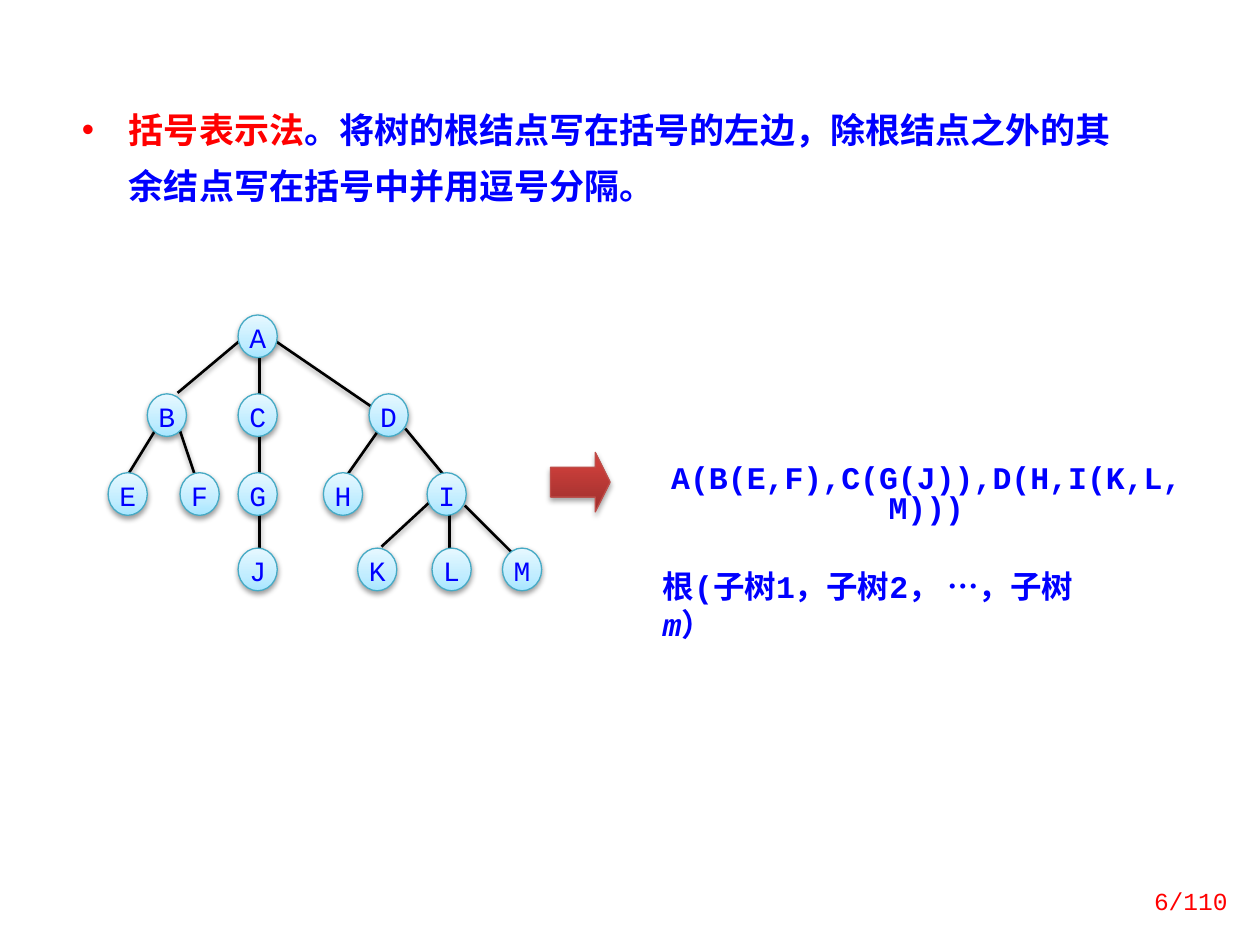
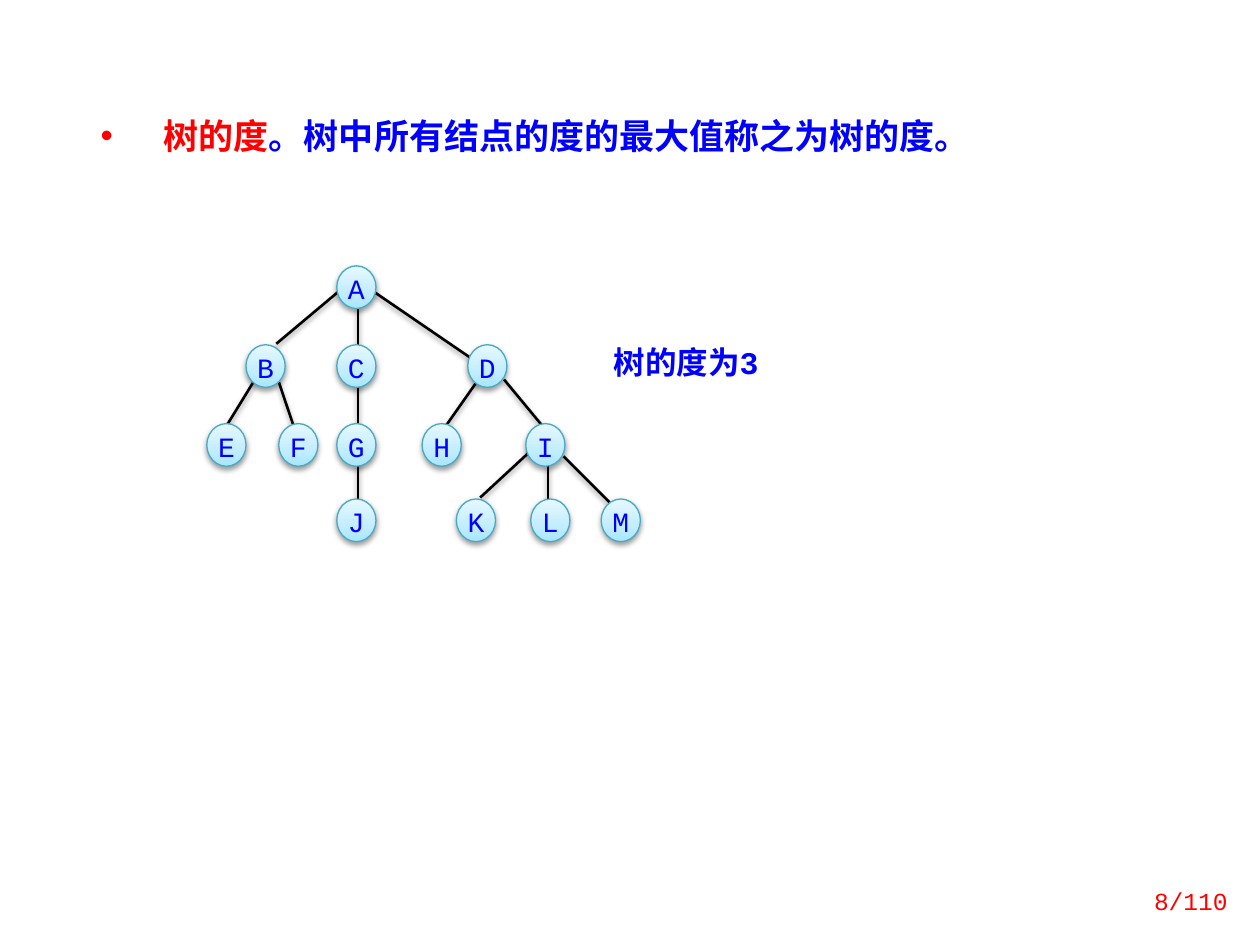
from lxml import etree
from pptx import Presentation
from pptx.dml.color import RGBColor
from pptx.enum.shapes import MSO_CONNECTOR, MSO_SHAPE
from pptx.enum.text import MSO_ANCHOR, MSO_AUTO_SIZE, PP_ALIGN
from pptx.oxml.ns import qn
from pptx.util import Cm, Pt

STRAIGHT = MSO_CONNECTOR.STRAIGHT
ELLIPSE, RIGHT_ARROW = MSO_SHAPE.OVAL, MSO_SHAPE.RIGHT_ARROW
MIDDLE = MSO_ANCHOR.MIDDLE
GROW = MSO_AUTO_SIZE.SHAPE_TO_FIT_TEXT
CENTER, RIGHT = PP_ALIGN.CENTER, PP_ALIGN.RIGHT

RED = RGBColor(0xFF, 0x00, 0x00)
BLUE = RGBColor(0x00, 0x00, 0xFF)
BLACK = RGBColor(0x00, 0x00, 0x00)
NODE_BORDER = RGBColor(0x46, 0xAA, 0xC5)
ARROW_BORDER = RGBColor(0xBF, 0x4C, 0x48)
NODE_GRADIENT = [(0, RGBColor(0xA7, 0xE6, 0xFF)), (35, RGBColor(0xC1, 0xED, 0xFF)),
                 (100, RGBColor(0xE7, 0xF8, 0xFF))]
ARROW_GRADIENT = [(0, RGBColor(0x9C, 0x2F, 0x2D)), (80, RGBColor(0xCB, 0x3E, 0x3A)),
                  (100, RGBColor(0xCE, 0x3B, 0x37))]

CHINESE, MONO, SANS = "Noto Sans CJK SC", "Courier New", "Arial"

# Lengths in centimetres; the tree is measured from its own top left corner.
NODE_WIDTH, NODE_HEIGHT = 0.79, 0.86
LEVELS = [
    (0, {"A": 2.62}),
    (1.59, {"B": 0.79, "C": 2.62, "D": 5.26}),
    (3.18, {"E": 0, "F": 1.45, "G": 2.62, "H": 4.34, "I": 6.43}),
    (4.7, {"J": 2.62, "K": 5.03, "L": 6.53, "M": 7.95}),
]
EDGES = {
    "AB": (2.64, 0.53, 1.4, 1.57),
    "ACGJ": (3.05, 0.79, 3.05, 4.83),
    "AD": (3.38, 0.53, 5.31, 1.85),
    "BE": (0.94, 2.34, 0.38, 3.25),
    "BF": (1.45, 2.34, 1.8, 3.38),
    "DH": (5.51, 2.24, 4.78, 3.28),
    "DI": (5.99, 2.29, 6.81, 3.28),
    "IK": (6.55, 3.71, 5.51, 4.67),
    "IL": (6.88, 4.01, 6.88, 4.83),
    "IM": (7.19, 3.84, 8.13, 4.78),
}

SLIDES = [
    {
        "definition": ("括号表示法", "将树的根结点写在括号的左边，除根结点之外的其余结点写在括号中并用逗号分隔。"),
        "definition_box": (1.4, 1.78, 21.64, 2.36),
        "indent": 0.95,
        "definition_spacing": Pt(32),
        "tree": (2.18, 6.35),
        "arrow": (11.1, 9.12, 1.2, 1.2),
        "notes": [
            {"box": (13.11, 9.25, 11.13, 0.86), "align": CENTER, "spacing": 0.8,
             "runs": [("A(B(E,F),C(G(J)),D(H,I(K,L,M)))", MONO, False)]},
            {"box": (13.11, 11.3, 9.73, 1.02),
             "runs": [("根(子树1，子树2， ", MONO, False), ("…", SANS, False),
                      ("，子树", MONO, False), ("m", MONO, True), ("）", MONO, False)]},
        ],
        "page": "6/110",
    },
    {
        "definition": ("树的度", "树中所有结点的度的最大值称之为树的度。"),
        "definition_box": (1.78, 2.18, 18.26, 1.12),
        "indent": 1.27,
        "tree": (4.17, 5.36),
        "notes": [
            {"box": (12.12, 6.93, 6.15, 0.86), "spacing": 0.8,
             "runs": [("树的度为3", MONO, False)]},
        ],
        "page": "8/110",
    },
]
PAGE_BOX = (22.1, 17.65, 2.9, 1.02)


def lengths(values):
    return [Cm(value) for value in values]


def add_run(paragraph, text, size, font_name, color, bold=False, italic=False):
    run = paragraph.add_run()
    run.text = text
    font = run.font
    font.size, font.name, font.bold, font.italic = Pt(size), font_name, bold, italic
    font.color.rgb = color
    east_asian = etree.Element(qn("a:ea"), typeface=CHINESE)
    run._r.rPr.find(qn("a:latin")).addnext(east_asian)


def add_text_box(slide, box, align=None, spacing=None):
    """Add a wrapping text box and return its frame and first paragraph."""
    frame = slide.shapes.add_textbox(*lengths(box)).text_frame
    frame.word_wrap = True
    paragraph = frame.paragraphs[0]
    paragraph.alignment = align
    paragraph.line_spacing = spacing
    return frame, paragraph


def add_shadow(shape, opacity=38, distance=1.6):
    """Cast a soft shadow downwards; call once fill and line are set."""
    effects = etree.SubElement(shape._element.spPr, qn("a:effectLst"))
    shadow = etree.SubElement(effects, qn("a:outerShdw"), blurRad=str(Pt(3.1)),
                              dist=str(Pt(distance)), dir="5400000", rotWithShape="0")
    color = etree.SubElement(shadow, qn("a:srgbClr"), val=str(BLACK))
    etree.SubElement(color, qn("a:alpha"), val=str(opacity * 1000))


def set_upward_gradient(shape, stops):
    shape.fill.gradient()
    shape.fill.gradient_angle = 90
    stop_list = shape._element.spPr.find(".//" + qn("a:gsLst"))
    stop_list.clear()
    for position, color in stops:
        stop = etree.SubElement(stop_list, qn("a:gs"), pos=str(position * 1000))
        etree.SubElement(stop, qn("a:srgbClr"), val=str(color))


def add_glossy_shape(shapes, kind, box, stops, border):
    shape = shapes.add_shape(kind, *lengths(box))
    set_upward_gradient(shape, stops)
    shape.line.color.rgb = border
    shape.line.width = Pt(0.75)
    return shape


def add_node(shapes, letter, left, top):
    node = add_glossy_shape(shapes, ELLIPSE, (left, top, NODE_WIDTH, NODE_HEIGHT),
                            NODE_GRADIENT, NODE_BORDER)
    add_shadow(node)
    frame = node.text_frame
    frame.margin_left = frame.margin_right = frame.margin_top = frame.margin_bottom = 0
    frame.vertical_anchor = MSO_ANCHOR.TOP
    paragraph = frame.paragraphs[0]
    paragraph.alignment = CENTER
    paragraph.line_spacing = Pt(19)
    add_run(paragraph, letter, 16, MONO, BLUE)


def add_tree(slide, left, top):
    shapes = slide.shapes.add_group_shape().shapes
    for x1, y1, x2, y2 in EDGES.values():
        ends = lengths((left + x1, top + y1, left + x2, top + y2))
        edge = shapes.add_connector(STRAIGHT, *ends)
        edge.line.color.rgb = BLACK
        edge.line.width = Pt(1.5)
        add_shadow(edge)
    for y, nodes in LEVELS:
        for letter, x in nodes.items():
            add_node(shapes, letter, left + x, top + y)


def add_definition(slide, content):
    frame, paragraph = add_text_box(slide, content["definition_box"],
                                    spacing=content.get("definition_spacing"))
    frame.auto_size = GROW
    properties = paragraph._p.get_or_add_pPr()
    indent = Cm(content["indent"])
    properties.set("marL", str(indent))
    properties.set("indent", str(-indent))
    etree.SubElement(properties, qn("a:buFont"), typeface=SANS)
    etree.SubElement(properties, qn("a:buChar"), char="•")
    term, explanation = content["definition"]
    add_run(paragraph, term, 20, CHINESE, RED, bold=True)
    add_run(paragraph, "。", 20, MONO, BLUE, bold=True)
    add_run(paragraph, explanation, 20, CHINESE, BLUE, bold=True)


def add_arrow(slide, box):
    arrow = add_glossy_shape(slide.shapes, RIGHT_ARROW, box, ARROW_GRADIENT, ARROW_BORDER)
    arrow.adjustments[0], arrow.adjustments[1] = 0.5, 0.25
    add_shadow(arrow, opacity=35, distance=1.8)


def add_note(slide, note):
    frame, paragraph = add_text_box(slide, note["box"], note.get("align"), note.get("spacing"))
    frame.auto_size = GROW
    for text, font_name, italic in note["runs"]:
        add_run(paragraph, text, 18, font_name, BLUE, bold=True, italic=italic)


def add_page_number(slide, page):
    frame, paragraph = add_text_box(slide, PAGE_BOX, RIGHT)
    frame.vertical_anchor = MIDDLE
    add_run(paragraph, page, 14, MONO, RED)


def main():
    presentation = Presentation()
    presentation.slide_width, presentation.slide_height = Cm(25.4), Cm(19.05)
    blank_layout = presentation.slide_layouts[6]
    for content in SLIDES:
        slide = presentation.slides.add_slide(blank_layout)
        add_definition(slide, content)
        if "arrow" in content:
            add_arrow(slide, content["arrow"])
        for note in content["notes"]:
            add_note(slide, note)
        add_tree(slide, *content["tree"])
        add_page_number(slide, content["page"])
    presentation.save("out.pptx")


if __name__ == "__main__":
    main()
